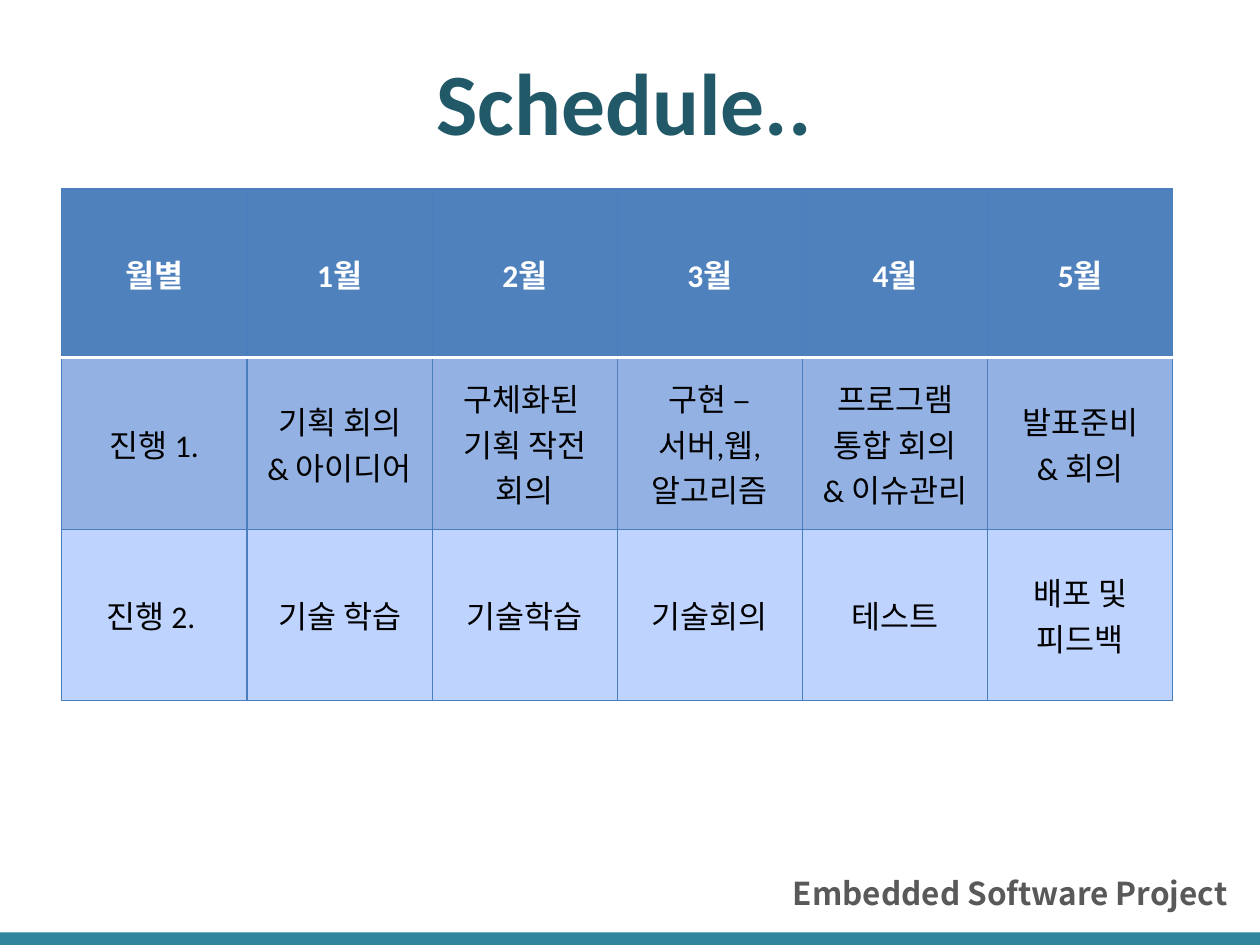
from lxml import etree
from pptx import Presentation
from pptx.dml.color import RGBColor
from pptx.enum.shapes import MSO_SHAPE
from pptx.enum.text import MSO_ANCHOR, PP_ALIGN
from pptx.oxml.ns import qn
from pptx.util import Inches, Pt

RECTANGLE = MSO_SHAPE.RECTANGLE
MIDDLE = MSO_ANCHOR.MIDDLE
CENTER, RIGHT = PP_ALIGN.CENTER, PP_ALIGN.RIGHT

# Content
HEADING = "Schedule.."
PROJECT = "Embedded Software Project"
SCHEDULE = [
    ["월별", "1월", "2월", "3월", "4월", "5월"],
    ["진행 1.", "기획 회의\n& 아이디어", "구체화된 \n기획 작전 회의",
     "구현 –\n서버,웹, 알고리즘", "프로그램\n통합 회의\n& 이슈관리", "발표준비\n& 회의"],
    ["진행 2. ", "기술 학습", "기술학습", "기술회의", "테스트", "배포 및 피드백"],
]
ROW_HEIGHTS = [1.34, 1.36, 1.36]
ROW_FILLS = ["4F81BD", "93B2E3", "BFD3FF"]
COLUMN_WIDTH = 1.47
GRID, HEADER_RULE = ("4B7EBC", 0.75), ("FFFFFF", 2)


def color(hex_code):
    return RGBColor.from_string(hex_code)


def format_text(frame, font_name, size, hex_code, bold, align):
    for paragraph in frame.paragraphs:
        paragraph.alignment = align
        font = paragraph.font
        font.name, font.size, font.bold = font_name, Pt(size), bold
        font.color.rgb = color(hex_code)


def set_border(cell, side, hex_code, width):
    line = etree.SubElement(cell._tc.get_or_add_tcPr(), qn(f"a:ln{side}"), w=str(Pt(width)))
    fill = etree.SubElement(line, qn("a:solidFill"))
    etree.SubElement(fill, qn("a:srgbClr"), val=hex_code)


def place(shape, left, top, width, height):
    shape.left, shape.top = Inches(left), Inches(top)
    shape.width, shape.height = Inches(width), Inches(height)


def main():
    prs = Presentation()
    prs.slide_width, prs.slide_height = Inches(10), Inches(7.5)
    slide = prs.slides.add_slide(prs.slide_layouts[5])

    # Bottom band
    band = slide.shapes.add_shape(RECTANGLE, 0, Inches(7.4), prs.slide_width, Inches(0.1))
    band.shadow.inherit = False
    band.fill.solid()
    band.fill.fore_color.rgb = color("31859C")
    band.line.fill.background()

    # Project name
    project = slide.shapes.add_textbox(Inches(5.63), Inches(6.89), Inches(4.21), Inches(0.4))
    project.text_frame.word_wrap = True
    project.text_frame.text = PROJECT
    format_text(project.text_frame, "Noto Sans CJK KR", 18, "595959", True, RIGHT)

    # Title
    title = slide.shapes.title
    place(title, 3.35, 0.33, 3.21, 0.94)
    title.text_frame.text = HEADING
    title.text_frame.word_wrap = False
    title.text_frame.vertical_anchor = MIDDLE
    format_text(title.text_frame, "Calibri", 50, "215968", True, CENTER)

    # Schedule table
    columns = len(SCHEDULE[0])
    table = slide.shapes.add_table(
        len(SCHEDULE), columns, Inches(0.49), Inches(1.5),
        Inches(COLUMN_WIDTH * columns), Inches(sum(ROW_HEIGHTS))).table
    for column in table.columns:
        column.width = Inches(COLUMN_WIDTH)
    for r, row in enumerate(SCHEDULE):
        table.rows[r].height = Inches(ROW_HEIGHTS[r])
        is_header = r == 0
        borders = {"L": GRID, "R": GRID,
                   "T": HEADER_RULE if r == 1 else GRID,
                   "B": HEADER_RULE if is_header else GRID}
        for c, words in enumerate(row):
            cell = table.cell(r, c)
            cell.text_frame.text = words
            cell.vertical_anchor = MIDDLE
            format_text(cell.text_frame, "Calibri", 18,
                        "FFFFFF" if is_header else "000000", is_header, CENTER)
            for side, border in borders.items():
                set_border(cell, side, *border)
            cell.fill.solid()
            cell.fill.fore_color.rgb = color(ROW_FILLS[r])

    prs.save("out.pptx")


if __name__ == "__main__":
    main()
